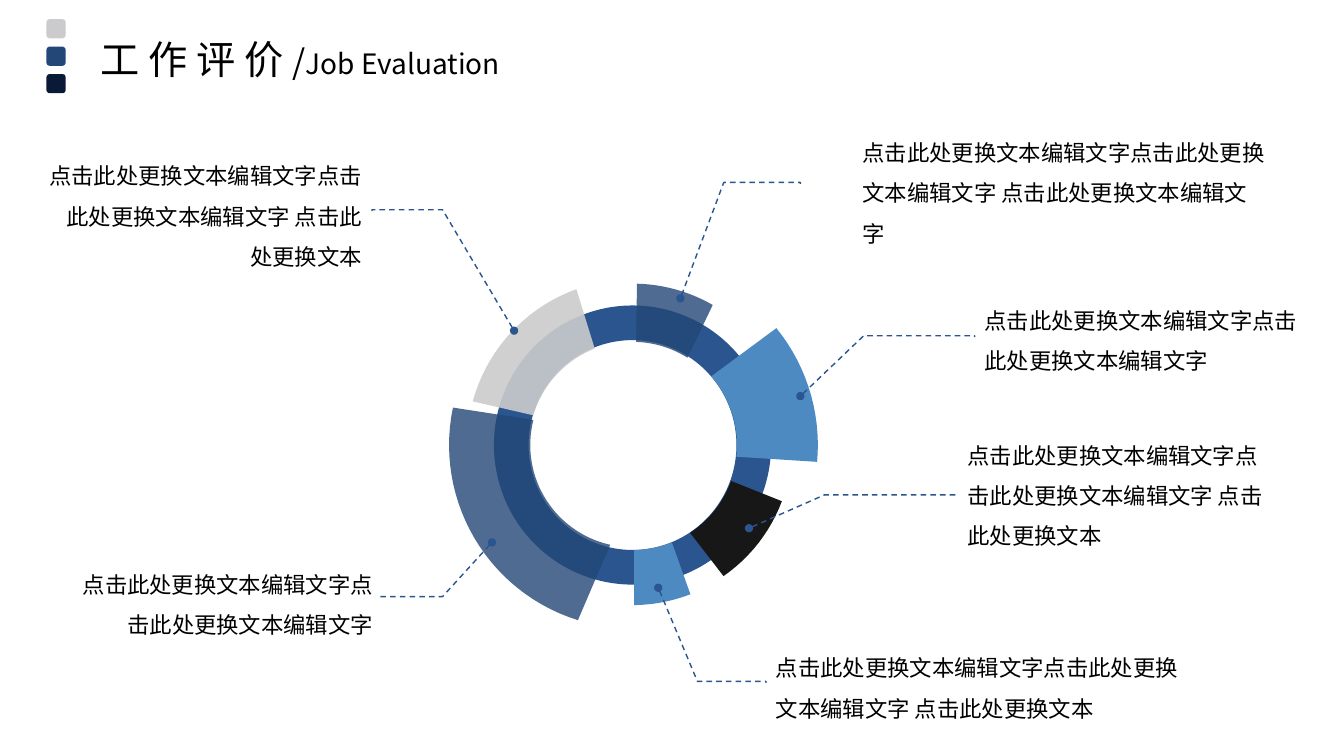
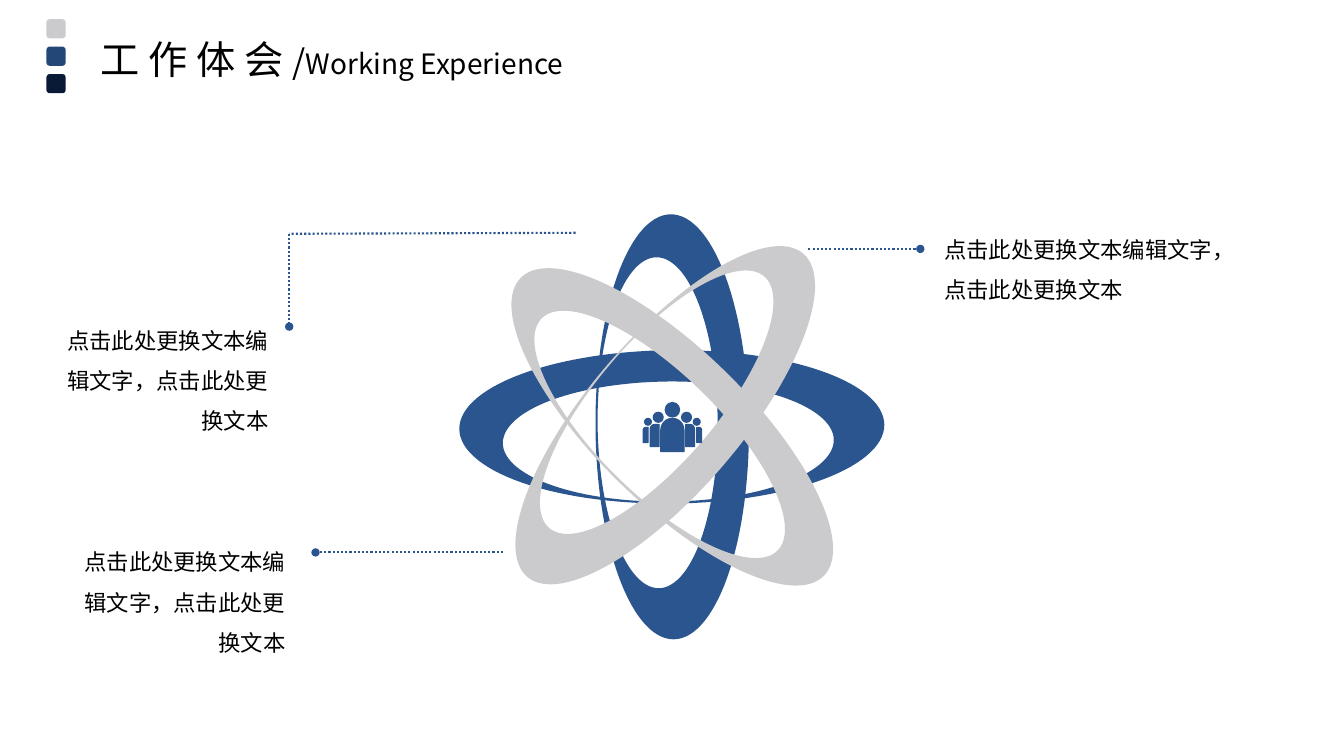
from dataclasses import dataclass
from math import cos, radians, sin

from lxml.etree import SubElement
from pptx import Presentation
from pptx.dml.color import RGBColor
from pptx.enum.dml import MSO_LINE_DASH_STYLE as Dash
from pptx.enum.shapes import MSO_CONNECTOR_TYPE as Connector, MSO_SHAPE as Shape
from pptx.enum.text import MSO_ANCHOR as Anchor, MSO_AUTO_SIZE as AutoSize, PP_ALIGN as Align
from pptx.oxml.ns import qn
from pptx.util import Pt


@dataclass(frozen=True)
class Theme:
    font: str = "Noto Sans CJK SC"
    text: RGBColor = RGBColor(0x00, 0x00, 0x00)
    blue: RGBColor = RGBColor(0x2A, 0x55, 0x8E)
    navy: RGBColor = RGBColor(0x23, 0x47, 0x77)
    midnight: RGBColor = RGBColor(0x09, 0x1A, 0x36)
    sky: RGBColor = RGBColor(0x4D, 0x8A, 0xC1)
    grey: RGBColor = RGBColor(0xCB, 0xCB, 0xCD)
    black: RGBColor = RGBColor(0x18, 0x17, 0x17)
    title_size: int = 28
    slash_size: int = 24
    subtitle_size: int = 20
    body_size: int = 16


theme = Theme()


def write_line(paragraph, pieces, align):
    """Fill a paragraph with (text, size) pieces in the theme font."""
    paragraph.alignment = align
    for text, size in pieces:
        run = paragraph.add_run()
        run.text = text
        run.font.size = Pt(size)
        run.font.name = theme.font
        run.font.color.rgb = theme.text
        SubElement(run.font._element, qn("a:ea")).set("typeface", theme.font)


def arc_points(center, radius_x, radius_y, start, end, tilt=0):
    """Points along an elliptical arc; angles are degrees, clockwise from the right."""
    steps = max(12, round(abs(end - start) / 3))
    turn = radians(tilt)
    points = []
    for step in range(steps + 1):
        angle = radians(start + (end - start) * step / steps)
        x, y = radius_x * cos(angle), radius_y * sin(angle)
        points.append((center[0] + x * cos(turn) - y * sin(turn),
                       center[1] + x * sin(turn) + y * cos(turn)))
    return points


presentation = Presentation()
presentation.slide_width, presentation.slide_height = Pt(960), Pt(540)

# Shared header: title and three stacked squares
slides = []
for chinese, english in (("工 作 评 价 ", "Job Evaluation"), ("工 作 体 会 ", "Working Experience")):
    slide = presentation.slides.add_slide(presentation.slide_layouts[5])
    slides.append(slide)
    title = slide.shapes.title
    title.left, title.top, title.width, title.height = Pt(64.8), Pt(21.6), Pt(400), Pt(41)
    title.text_frame.auto_size = AutoSize.NONE
    title.text_frame.vertical_anchor = Anchor.MIDDLE
    write_line(title.text_frame.paragraphs[0],
               ((chinese, theme.title_size), ("/", theme.slash_size), (english, theme.subtitle_size)),
               Align.LEFT)
    for row, color in enumerate((theme.grey, theme.navy, theme.midnight)):
        square = slide.shapes.add_shape(
            Shape.ROUNDED_RECTANGLE, Pt(33.2), Pt(13.7 + 19.6 * row), Pt(13.7), Pt(13.7))
        square.shadow.inherit = False
        square.fill.solid()
        square.fill.fore_color.rgb = color
        square.line.fill.background()
evaluation, experience = slides

# Ring behind the wedges
ring = evaluation.shapes.add_shape(Shape.DONUT, Pt(352.8), Pt(218.2), Pt(198), Pt(199.4))
ring.adjustments[0] = 0.125
ring.shadow.inherit = False
ring.fill.solid()
ring.fill.fore_color.rgb = theme.blue
ring.line.fill.background()

# Wedges: colour, opacity, inner (radius, start, end), outer (radius, start, end)
ring_center = (451.8, 317.9)
wedges = (
    (theme.black, 100, (75, 20, 56.7), (114, 20.6, 55.2)),
    (theme.sky, 100, (75, 68, 89.2), (114.3, 68.8, 89.4)),
    (theme.navy, 80, (73.7, -88, -57.8), (115.3, -88.4, -60.2)),
    (theme.navy, 80, (73, 102.6, 194.2), (131, 107.3, 191.8)),
    (theme.sky, 100, (74.6, -41.1, 6.4), (132.4, -39.1, 5.2)),
    (theme.grey, 90, (74, 196.7, 248.6), (118.3, 195.3, 250.2)),
)
outlines = []
for color, opacity, (inner, inner_start, inner_end), (outer, outer_start, outer_end) in wedges:
    edge = (arc_points(ring_center, inner, inner, inner_start, inner_end)
            + arc_points(ring_center, outer, outer, outer_end, outer_start))
    outlines.append((evaluation, [edge], color, opacity))

# Orbits: colour, outer centre, centre of the hole, tilt
orbits = (
    (theme.blue, (479.9, 304.9), (477.4, 315.4), -0.6),
    (theme.blue, (480.2, 304.9), (469.8, 302), 89.6),
    (theme.grey, (480.2, 304.9), (471.2, 310.3), 44.5),
    (theme.grey, (475.2, 296.6), (469.1, 287.3), -49.5),
)
for color, center, hole_center, tilt in orbits:
    contours = [arc_points(center, 151.8, 54.8, 0, 360, tilt),
                arc_points(hole_center, 118.2, 42.9, 360, 0, tilt)]
    outlines.append((experience, contours, color, 100))

for slide, contours, color, opacity in outlines:
    builder = None
    for contour in contours:
        points = [(x * 100, y * 100) for x, y in contour]
        if builder is None:
            builder = slide.shapes.build_freeform(*points[0], scale=Pt(1) / 100)
        else:
            builder.move_to(*points[0])
        builder.add_line_segments(points[1:], close=True)
    outline = builder.convert_to_shape()
    outline.shadow.inherit = False
    outline.fill.solid()
    outline.fill.fore_color.rgb = color
    outline.line.fill.background()
    if opacity < 100:
        color_element = outline._element.spPr.find(qn("a:solidFill"))[0]
        SubElement(color_element, qn("a:alpha")).set("val", str(opacity * 1000))

# Leaders from the wedges: dot, elbow, x of the end
leaders = (
    ((367.2, 236.2), (316.1, 149.8), 265.7),
    ((351.4, 387.4), (316.1, 426.2), 270.7),
    ((486, 213.1), (517, 130.3), 571.7),
    ((571.7, 283), (617, 239.8), 696.2),
    ((535, 377.3), (589, 353.5), 684),
    ((470.2, 419.8), (498.2, 486.7), 547.2),
)
dashed_lines = []
for dot, elbow, end_x in leaders:
    points = [(x * 100, y * 100) for x, y in (dot, elbow, (end_x, elbow[1]), (end_x, elbow[1] + 1))]
    builder = evaluation.shapes.build_freeform(*points[0], scale=Pt(1) / 100)
    builder.add_line_segments(points[1:], close=False)
    leader = builder.convert_to_shape()
    leader.fill.background()
    dashed_lines.append((leader, 1, Dash.DASH, "a:headEnd"))

# Dotted lines to the orbits: start, end, element of the dot
dotted = (
    ((577.4, 177.8), (657.4, 177.8), "a:tailEnd"),
    ((359.3, 394.6), (225.4, 394.6), "a:tailEnd"),
    ((411.1, 166.3), (206.6, 167), None),
    ((206.6, 167), (206.6, 233.3), "a:tailEnd"),
)
for start, end, dot_tag in dotted:
    connector = experience.shapes.add_connector(
        Connector.STRAIGHT, *(Pt(value) for value in start + end))
    dashed_lines.append((connector, 1.5, Dash.ROUND_DOT, dot_tag))

for shape, width, dash, dot_tag in dashed_lines:
    shape.line.color.rgb = theme.blue
    shape.line.width = Pt(width)
    shape.line.dash_style = dash
    properties = shape._element.spPr
    if dot_tag:
        SubElement(properties.find(qn("a:ln")), qn(dot_tag)).set("type", "oval")
    SubElement(properties, qn("a:effectLst"))

# Group of people: shape, sides, offset from the middle, top, width, height
people_middle = 480.3
both_sides = (-1, 1)
people = (
    (Shape.OVAL, (1,), -5.2, 287.5, 10.4, 10.4),
    (Shape.ROUND_2_SAME_RECTANGLE, (1,), -8.3, 298.8, 16.6, 23.8),
    (Shape.OVAL, both_sides, 6.5, 294.5, 7.2, 7.2),
    (Shape.ROUND_1_RECTANGLE, both_sides, 9.4, 303.1, 6.4, 15.9),
    (Shape.OVAL, both_sides, 14.9, 298.8, 5, 5),
    (Shape.ROUND_1_RECTANGLE, both_sides, 17.3, 305.3, 3.6, 10.8),
)
for geometry, sides, offset, top, width, height in people:
    for side in sides:
        left = people_middle + (offset if side > 0 else -offset - width)
        part = experience.shapes.add_shape(geometry, Pt(left), Pt(top), Pt(width), Pt(height))
        if geometry != Shape.OVAL:
            part.adjustments[0] = 0.5
        if side < 0:
            part._element.spPr.xfrm.set("flipH", "1")
        part.shadow.inherit = False
        part.fill.solid()
        part.fill.fore_color.rgb = theme.blue
        part.line.color.rgb = theme.blue
        part.line.width = Pt(0.75)

# Captions: slide, left, top, width, lines, alignment, text
short_text = "点击此处更换文本编辑文字点击此处更换文本编辑文字"
medium_text = short_text + " 点击此处更换文本"
long_text = medium_text + "编辑文字"
comma_text = "点击此处更换文本编辑文字，点击此处更换文本"
captions = (
    (evaluation, 609.1, 86.4, 303.8, 3, Align.LEFT, long_text),
    (evaluation, 696.2, 205.9, 251.3, 2, Align.LEFT, short_text),
    (evaluation, 684, 302.4, 236.2, 3, Align.LEFT, medium_text),
    (evaluation, 547.2, 454.3, 303.8, 2, Align.LEFT, medium_text),
    (evaluation, 25.2, 103, 240.5, 3, Align.RIGHT, medium_text),
    (evaluation, 46.8, 394.6, 226.8, 2, Align.RIGHT, short_text),
    (experience, 31, 220.3, 167.8, 3, Align.RIGHT, comma_text),
    (experience, 667.4, 155.5, 226.8, 2, Align.LEFT, comma_text),
    (experience, 43.2, 378.7, 167.8, 3, Align.RIGHT, comma_text),
)
for slide, left, top, width, lines, align, text in captions:
    caption = slide.shapes.add_textbox(Pt(left), Pt(top), Pt(width), Pt(7.9 + 28.8 * lines))
    caption.text_frame.word_wrap = True
    caption.text_frame.auto_size = AutoSize.SHAPE_TO_FIT_TEXT
    paragraph = caption.text_frame.paragraphs[0]
    paragraph.line_spacing = 1.5
    write_line(paragraph, ((text, theme.body_size),), align)

presentation.save("out.pptx")
